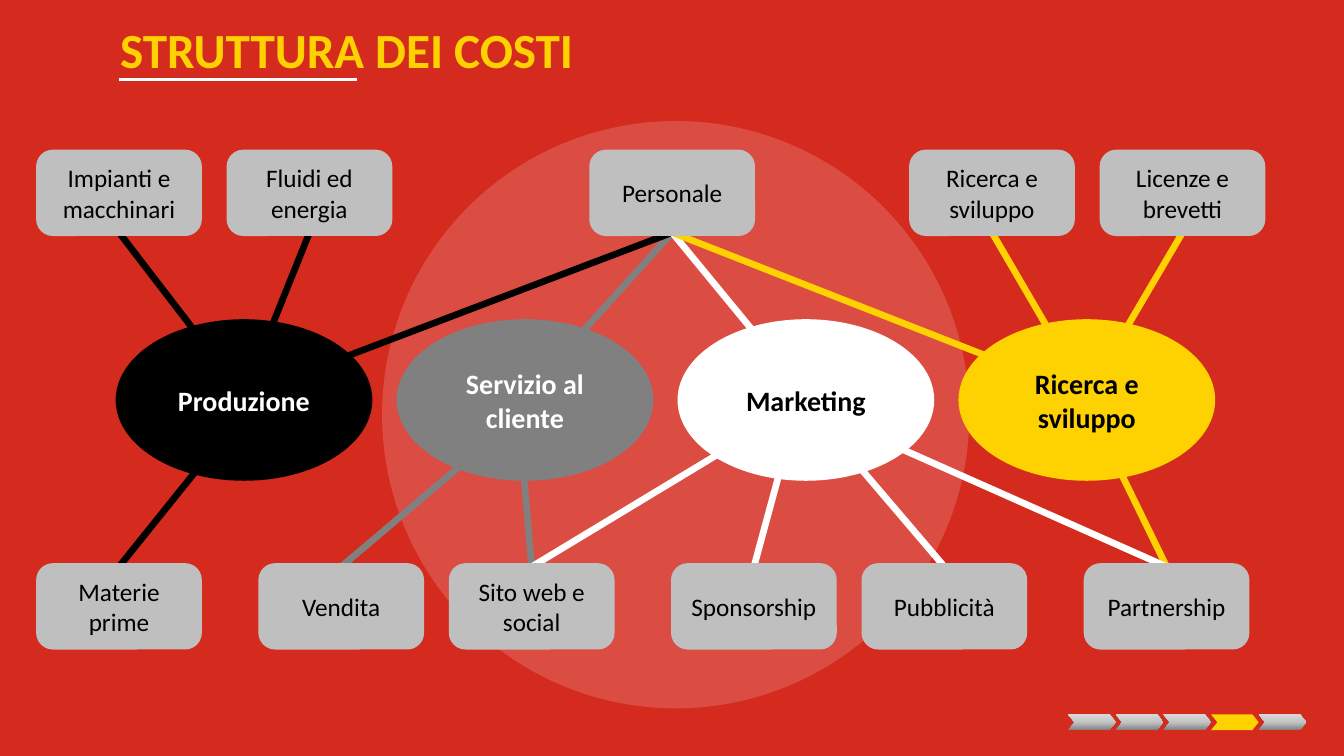
from dataclasses import dataclass
from typing import Optional

from lxml.etree import SubElement
from pptx import Presentation
from pptx.dml.color import RGBColor
from pptx.enum.shapes import MSO_CONNECTOR as Line, MSO_SHAPE as Preset
from pptx.enum.text import MSO_ANCHOR as Anchor, MSO_AUTO_SIZE as AutoSize, PP_ALIGN as Align
from pptx.oxml import parse_xml
from pptx.oxml.ns import nsdecls, qn
from pptx.util import Cm, Pt

COLORS = {
    "red": "D52B1E", "yellow": "FED100", "black": "000000", "white": "FFFFFF",
    "gray": "808080", "silver": "BFBFBF", "mid": "C1C1C1", "pale": "D9D9D9",
}
FONT = "Calibri"
HUB_LEFT, HUB_STEP, HUB_TOP, HUB_W, HUB_H = 2.95, 7.08, 8.08, 6.4, 4
BOX_W, BOX_H, UPPER_TOP, LOWER_TOP = 4, 2, 3.86, 14.28
UPPER_LINK_Y, LOWER_LINK_Y = 9.96, 10.36
STEP_LEFT, STEP_TOP, STEP_W, STEP_H, STEP_COUNT, CURRENT_STEP = 26.92, 18, 1.2, 0.4, 5, 3


@dataclass(frozen=True)
class Hub:
    text: str
    color: str
    text_color: str


@dataclass(frozen=True)
class CostBox:
    text: str
    left: float
    upper: bool


@dataclass(frozen=True)
class Link:
    hub: int
    box: int
    dx: float = 0
    y: Optional[float] = None


HUBS = [
    Hub("Produzione", "black", "white"),
    Hub("Servizio al cliente", "gray", "white"),
    Hub("Marketing", "white", "black"),
    Hub("Ricerca e sviluppo", "yellow", "black"),
]
BOXES = [
    CostBox("Impianti e macchinari", 1, True),
    CostBox("Fluidi ed energia", 5.8, True),
    CostBox("Personale", 14.94, True),
    CostBox("Ricerca e sviluppo", 23, True),
    CostBox("Licenze e brevetti", 27.8, True),
    CostBox("Materie prime", 1, False),
    CostBox("Vendita", 6.6, False),
    CostBox("Sito web e social", 11.4, False),
    CostBox("Sponsorship", 17, False),
    CostBox("Pubblicità", 21.8, False),
    CostBox("Partnership", 27.4, False),
]
LINKS = [
    Link(3, 10, y=10.16), Link(2, 10, -0.19, 10.16),
    Link(0, 0), Link(0, 1), Link(1, 2), Link(0, 2), Link(2, 2),
    Link(3, 2), Link(3, 3), Link(3, 4), Link(0, 5), Link(1, 6),
    Link(1, 7, -0.19, 10.16), Link(2, 7, 0.13, 10.03),
    Link(2, 8, -0.19, 10.16), Link(2, 9, -0.19, 9.96),
]


def rgb(color: str) -> RGBColor:
    return RGBColor.from_string(COLORS[color])


def write(shape, text: str, *, size: float, color: str, bold: bool = False,
          align=Align.CENTER, spacing: float = 1, inset_x: float = 0.25,
          inset_y: float = 0.13) -> None:
    frame = shape.text_frame
    frame.word_wrap = True
    frame.auto_size = AutoSize.NONE
    frame.vertical_anchor = Anchor.MIDDLE
    frame.margin_left = frame.margin_right = Cm(inset_x)
    frame.margin_top = frame.margin_bottom = Cm(inset_y)
    paragraph = frame.paragraphs[0]
    paragraph.alignment = align
    paragraph.line_spacing = spacing
    run = paragraph.add_run()
    run.text = text
    run.font.name = FONT
    run.font.size = Pt(size)
    run.font.bold = bold
    run.font.color.rgb = rgb(color)


def add_block(slide, preset, left: float, top: float, width: float, height: float,
              color: str, outline: float = 0):
    block = slide.shapes.add_shape(preset, Cm(left), Cm(top), Cm(width), Cm(height))
    block.shadow.inherit = False
    block.fill.solid()
    block.fill.fore_color.rgb = rgb(color)
    if outline:
        block.line.color.rgb = rgb(color)
        block.line.width = Pt(outline)
    else:
        block.line.fill.background()
    return block


def add_line(slide, x1: float, y1: float, x2: float, y2: float,
             color: str, width: float) -> None:
    line = slide.shapes.add_connector(Line.STRAIGHT, Cm(x1), Cm(y1), Cm(x2), Cm(y2))
    line.line.color.rgb = rgb(color)
    line.line.width = Pt(width)
    SubElement(line._element.spPr, qn("a:effectLst"))


def add_backdrop(slide) -> None:
    slide.background.fill.solid()
    slide.background.fill.fore_color.rgb = rgb("red")
    disc = add_block(slide, Preset.OVAL, 9.63, 3.05, 14.8, 14.8, "white")
    tint = disc._element.spPr.find(qn("a:solidFill"))[0]
    SubElement(tint, qn("a:alpha")).set("val", "16000")


def add_title(slide) -> None:
    title = slide.shapes.title
    title.left, title.top, title.width, title.height = Cm(0.03), Cm(0.03), Cm(21.13), Cm(2.57)
    write(title, "STRUTTURA DEI COSTI", size=35.1, color="yellow", bold=True,
          align=Align.LEFT, spacing=0.9, inset_x=3, inset_y=0)
    add_line(slide, 3, 2, 9, 2, "white", 2)


def add_link(slide, link: Link) -> None:
    box = BOXES[link.box]
    hub_x = HUB_LEFT + link.hub * HUB_STEP + HUB_W / 2 + link.dx
    hub_y = link.y or (UPPER_LINK_Y if box.upper else LOWER_LINK_Y)
    box_y = UPPER_TOP + BOX_H if box.upper else LOWER_TOP
    add_line(slide, hub_x, hub_y, box.left + BOX_W / 2, box_y, HUBS[link.hub].color, 4.75)


def add_box(slide, box: CostBox) -> None:
    top = UPPER_TOP if box.upper else LOWER_TOP
    block = add_block(slide, Preset.ROUNDED_RECTANGLE, box.left, top, BOX_W, BOX_H, "silver", 5)
    write(block, box.text, size=18, color="black")


def add_hub(slide, index: int, hub: Hub) -> None:
    left = HUB_LEFT + index * HUB_STEP
    oval = add_block(slide, Preset.OVAL, left, HUB_TOP, HUB_W, HUB_H, hub.color, 2)
    write(oval, hub.text, size=20, color=hub.text_color, bold=True)


def shade(block) -> None:
    stops = "".join(
        f'<a:gs pos="{pos}"><a:srgbClr val="{COLORS[color]}"/></a:gs>'
        for pos, color in [(0, "gray"), (48000, "mid"), (100000, "pale")])
    gradient = parse_xml(f'<a:gradFill {nsdecls("a")} rotWithShape="1"><a:gsLst>{stops}</a:gsLst>'
                         '<a:lin ang="16200000" scaled="0"/></a:gradFill>')
    properties = block._element.spPr
    properties.replace(properties.find(qn("a:solidFill")), gradient)


def add_progress(slide) -> None:
    for step in range(STEP_COUNT):
        chevron = add_block(slide, Preset.CHEVRON, STEP_LEFT + step * STEP_W, STEP_TOP,
                            STEP_W, STEP_H, "yellow")
        chevron.adjustments[0] = 0.4
        if step != CURRENT_STEP:
            shade(chevron)


def main() -> None:
    deck = Presentation()
    deck.slide_width, deck.slide_height = Cm(33.87), Cm(19.05)
    slide = deck.slides.add_slide(deck.slide_layouts[5])
    add_backdrop(slide)
    for link in LINKS:
        add_link(slide, link)
    add_title(slide)
    add_progress(slide)
    for box in BOXES:
        add_box(slide, box)
    for index, hub in enumerate(HUBS):
        add_hub(slide, index, hub)
    deck.save("out.pptx")


if __name__ == "__main__":
    main()
